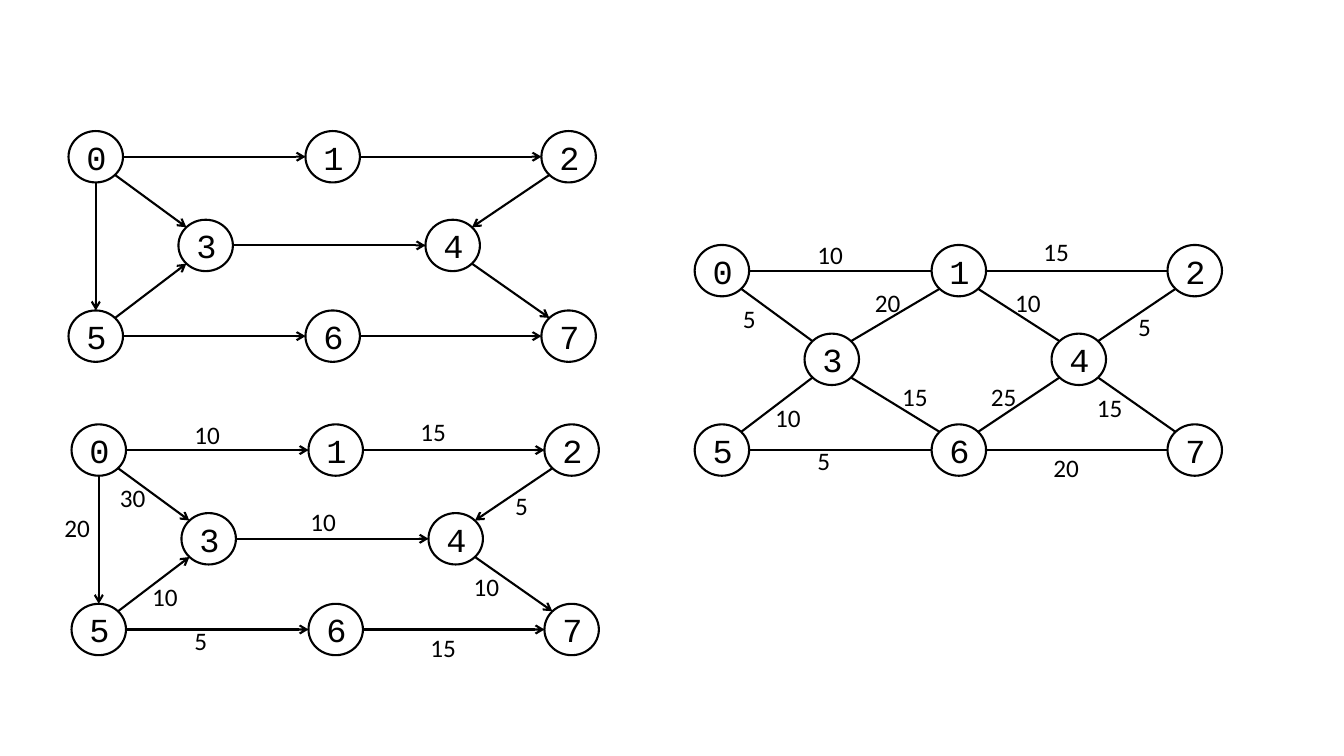
"""Draw a directed, a weighted directed and a weighted undirected graph."""
import pptx
import pptx.dml.color
import pptx.enum.shapes
import pptx.enum.text
import pptx.oxml
import pptx.oxml.ns
import pptx.util

PX = 9144
BLACK = pptx.dml.color.RGBColor(0, 0, 0)
NODE_WIDTH, NODE_HEIGHT = 54, 51
LABEL_WIDTH, LABEL_HEIGHT = 63, 40
LINE_POINTS = 1.5
DIAGONAL = 0.71

NODES = {
    0: (0, 0), 1: (235, 0), 2: (469, 0),
    3: (109, 88), 4: (354, 88),
    5: (0, 178), 6: (235, 178), 7: (469, 178),
}
LABEL_PLACES = {
    (0, 1): (112, -10), (1, 2): (336, -13), (3, 4): (227, 76),
    (0, 3): (38, 53), (0, 5): (-17, 82), (5, 6): (112, 194),
    (5, 3): (70, 151), (2, 4): (430, 61), (6, 7): (346, 201),
    (4, 7): (389, 141), (3, 1): (169, 37), (3, 6): (196, 130),
    (1, 4): (308, 37), (6, 4): (284, 130),
}
DIRECTED_WEIGHTS = {
    (0, 1): 10, (1, 2): 15, (3, 4): 10, (0, 3): 30, (0, 5): 20,
    (5, 6): 5, (5, 3): 10, (2, 4): 5, (6, 7): 15, (4, 7): 10,
}
UNDIRECTED_WEIGHTS = {
    (0, 1): 10, (1, 2): 15, (3, 1): 20, (0, 3): 5, (3, 6): 15, (5, 6): 5,
    (5, 3): 10, (2, 4): 5, (6, 7): 20, (4, 7): 15, (1, 4): 10, (6, 4): 25,
}


def px(*lengths):
    """Turn pixel lengths into EMU."""
    return [pptx.util.Emu(round(length * PX)) for length in lengths]


def write_text(shape, text, *, font, size, alignment=None):
    """Write one formatted line of text into a shape."""
    paragraph = shape.text_frame.paragraphs[0]
    paragraph.alignment = alignment
    run = paragraph.add_run()
    run.text = text
    run.font.name = font
    run.font.size = pptx.util.Pt(size)
    run.font.color.rgb = BLACK


def add_node(slide, number, left, top):
    """Add a numbered circle."""
    shape = slide.shapes.add_shape(
        pptx.enum.shapes.MSO_SHAPE.OVAL, *px(left, top, NODE_WIDTH, NODE_HEIGHT))
    shape.shadow.inherit = False
    shape.fill.background()
    shape.line.color.rgb = BLACK
    shape.line.width = pptx.util.Pt(LINE_POINTS)
    shape.text_frame.vertical_anchor = pptx.enum.text.MSO_ANCHOR.MIDDLE
    write_text(shape, str(number), font="Courier New", size=24,
               alignment=pptx.enum.text.PP_ALIGN.CENTER)


def add_label(slide, weight, left, top):
    """Add the weight of an edge."""
    shape = slide.shapes.add_textbox(*px(left, top, LABEL_WIDTH, LABEL_HEIGHT))
    shape.text_frame.word_wrap = True
    shape.text_frame.auto_size = pptx.enum.text.MSO_AUTO_SIZE.SHAPE_TO_FIT_TEXT
    write_text(shape, str(weight), font="Calibri", size=18)


def edge_ends(start, end):
    """Return the rim points where an edge leaves start and meets end."""
    (x1, y1), (x2, y2) = NODES[start], NODES[end]
    toward_x = (x2 > x1) - (x2 < x1)
    toward_y = (y2 > y1) - (y2 < y1)
    reach = DIAGONAL if toward_x and toward_y else 1
    half_width, half_height = NODE_WIDTH / 2, NODE_HEIGHT / 2
    shift_x = toward_x * reach * half_width
    shift_y = toward_y * reach * half_height
    return (x1 + half_width + shift_x, y1 + half_height + shift_y,
            x2 + half_width - shift_x, y2 + half_height - shift_y)


def add_edge(slide, x1, y1, x2, y2, directed):
    """Add a straight edge, with an arrowhead if directed."""
    connector = slide.shapes.add_connector(
        pptx.enum.shapes.MSO_CONNECTOR.STRAIGHT, *px(x1, y1, x2, y2))
    connector.line.color.rgb = BLACK
    connector.line.width = pptx.util.Pt(LINE_POINTS)
    namespace = pptx.oxml.ns.nsdecls("a")
    if directed:
        connector.line._get_or_add_ln().append(
            pptx.oxml.parse_xml(f'<a:tailEnd {namespace} type="arrow"/>'))
    connector._element.spPr.append(
        pptx.oxml.parse_xml(f"<a:effectLst {namespace}/>"))


def add_graph(slide, left, top, weights, directed=True, labelled=True):
    """Add the nodes, edges and weights of one graph."""
    for number, (x, y) in NODES.items():
        add_node(slide, number, left + x, top + y)
    for edge, weight in weights.items():
        x1, y1, x2, y2 = edge_ends(*edge)
        add_edge(slide, left + x1, top + y1, left + x2, top + y2, directed)
        if labelled:
            x, y = LABEL_PLACES[edge]
            add_label(slide, weight, left + x, top + y)


def main():
    """Build the slide and save it."""
    presentation = pptx.Presentation()
    presentation.slide_width, presentation.slide_height = px(1333, 750)
    slide = presentation.slides.add_slide(presentation.slide_layouts[6])
    add_graph(slide, 68, 130, DIRECTED_WEIGHTS, labelled=False)
    add_graph(slide, 71, 421, DIRECTED_WEIGHTS)
    add_graph(slide, 689, 243, UNDIRECTED_WEIGHTS, directed=False)
    presentation.save("out.pptx")


if __name__ == "__main__":
    main()
